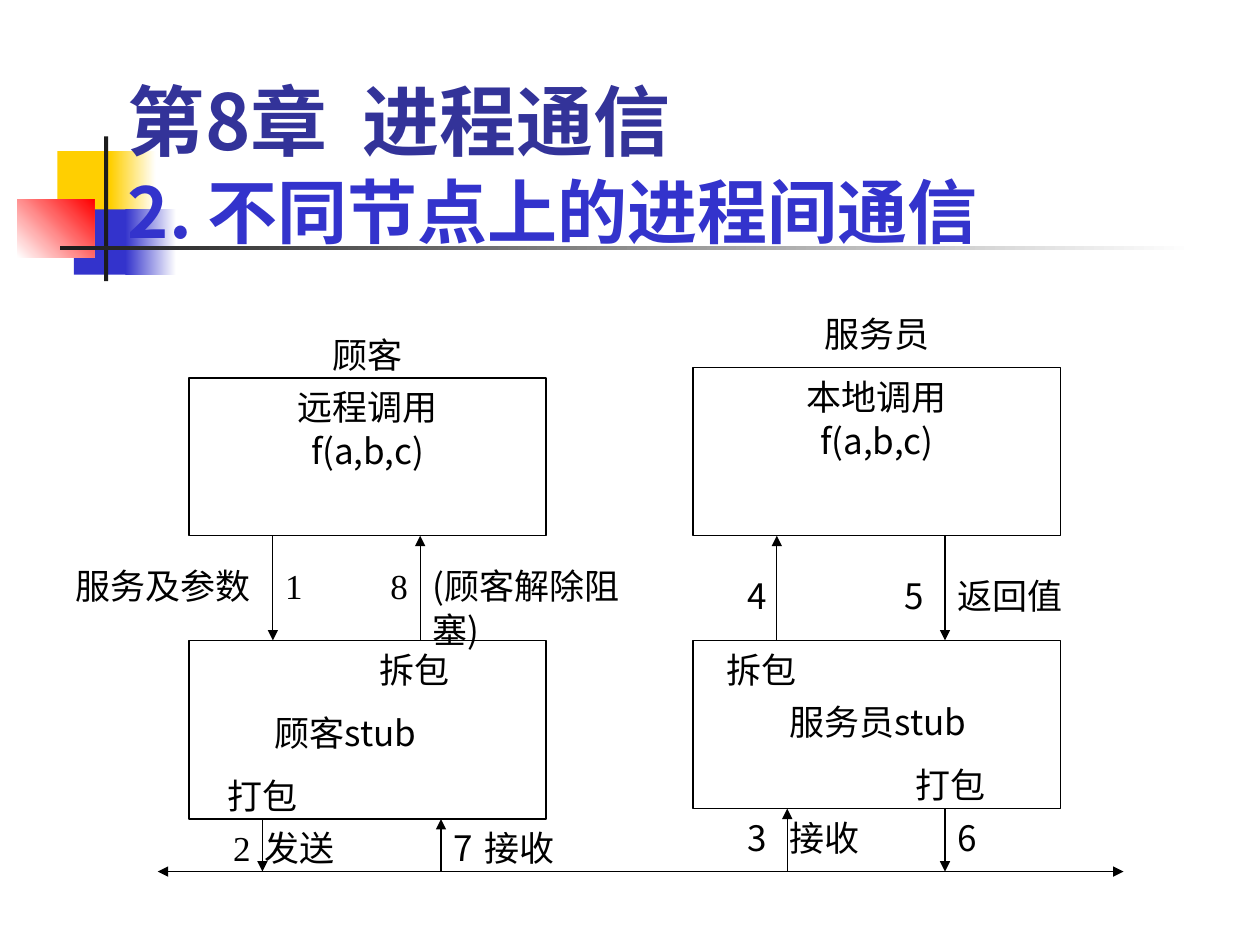
import pptx
import pptx.util
import pptx.dml.color
import pptx.enum.shapes
import pptx.enum.text
import pptx.oxml.ns
from lxml import etree

Cm, Pt = pptx.util.Cm, pptx.util.Pt
qn = pptx.oxml.ns.qn
LEFT = pptx.enum.text.PP_ALIGN.LEFT
CENTER = pptx.enum.text.PP_ALIGN.CENTER

COLORS = {
    "black": "000000", "white": "FFFFFF", "ink": "1C1C1C", "yellow": "FFCF01",
    "blue": "3333CC", "navy": "333399", "red": "FF0000",
}
SERIF, SANS, SANS_JP = "Times New Roman", "Noto Sans CJK SC", "Noto Sans CJK JP"
LINE_PITCH = 1.25  # line height per point of text size


def rgb(name):
    return pptx.dml.color.RGBColor.from_string(COLORS[name])


def write(frame, lines, align=LEFT):
    """Fill a frame with lines of (text, font, size, color, bold)."""
    frame.word_wrap = True
    frame.vertical_anchor = pptx.enum.text.MSO_ANCHOR.TOP
    for i, (text, face, size, color, bold) in enumerate(lines):
        line = frame.add_paragraph() if i else frame.paragraphs[0]
        line.text = text
        line.alignment = align
        line.line_spacing = Pt(size * LINE_PITCH)
        line.font.name, line.font.size, line.font.bold = face, Pt(size), bold
        line.font.color.rgb = rgb(color)
        defaults = line._p.pPr.find(qn("a:defRPr"))
        etree.SubElement(defaults, qn("a:ea"), typeface=SANS)


def add_label(slide, x, y, width, text, face=SERIF, align=LEFT, height=1.2):
    label = slide.shapes.add_textbox(Cm(x), Cm(y), Cm(width), Cm(height))
    write(label.text_frame, [(text, face, 20, "black", False)], align)


def add_block(slide, x, y, width, height, start, end=None, angle=0):
    """Borderless rectangle, plain or fading from start to end."""
    block = slide.shapes.add_shape(
        pptx.enum.shapes.MSO_SHAPE.RECTANGLE, Cm(x), Cm(y), Cm(width), Cm(height))
    block.shadow.inherit = False
    block.line.fill.background()
    if end:
        block.fill.gradient()
        block.fill.gradient_angle = angle
        for stop, color in zip(block.fill.gradient_stops, (start, end)):
            stop.color.rgb = rgb(color)
    else:
        block.fill.solid()
        block.fill.fore_color.rgb = rgb(start)
    return block


def add_frame(slide, x, y, width, height, lines=()):
    frame = add_block(slide, x, y, width, height, "white")
    frame.line.color.rgb = rgb("black")
    frame.line.width = Pt(0.75)
    write(frame.text_frame,
          [(text, SANS_JP, 20, "black", False) for text in lines], CENTER)


def add_arrow(slide, x1, y1, x2, y2, both=False):
    arrow = slide.shapes.add_connector(
        pptx.enum.shapes.MSO_CONNECTOR.STRAIGHT, Cm(x1), Cm(y1), Cm(x2), Cm(y2))
    arrow.line.color.rgb = rgb("black")
    arrow.line.width = Pt(0.75)
    outline = arrow.line._get_or_add_ln()
    for end in ("a:headEnd", "a:tailEnd") if both else ("a:tailEnd",):
        etree.SubElement(outline, qn(end), type="triangle")
    etree.SubElement(arrow._element.spPr, qn("a:effectLst"))


def draw_ornament(slide, x, y):
    """Coloured squares with the crossing rules."""
    add_block(slide, x + 0.81, y + 0.3, 1.22, 1.32, "yellow")
    add_block(slide, x + 1.88, y + 0.3, 0.91, 1.32, "yellow", "white")
    add_block(slide, x + 1.14, y + 1.47, 1.17, 1.32, "blue")
    add_block(slide, x + 2.18, y + 1.47, 1.02, 1.32, "blue", "white")
    add_block(slide, x, y + 1.27, 1.55, 1.17, "white", "red", 45)
    add_block(slide, x + 1.75, y, 0.08, 2.92, "ink")
    add_block(slide, x + 0.86, y + 2.21, 22.86, 0.08, "ink", "white")


def draw_title(slide, x, y, width, height):
    title = slide.shapes.add_textbox(Cm(x), Cm(y), Cm(width), Cm(height))
    write(title.text_frame, [
        ("第8章  进程通信", SANS, 44, "navy", True),
        ("2. 不同节点上的进程间通信", SANS_JP, 40, "blue", True),
    ])


def draw_party(slide, x, y, width, party):
    """Caller or callee: call box above, stub box below, arrows and labels."""
    call_height, stub_top, stub_height = party["heights"]
    stub_bottom = stub_top + stub_height
    name, name_x, name_y, name_width = party["name"]
    add_label(slide, x + name_x, y + name_y, name_width, name, align=CENTER)
    add_frame(slide, x, y, width, call_height, party["call"])
    add_frame(slide, x, y + stub_top, width, stub_height)

    # Arrows between call and stub, then between stub and network
    gaps = {"call": (call_height, stub_top), "network": (stub_bottom, BUS_Y - y)}
    for gap, arrow_x, downward in party["arrows"]:
        start, end = gaps[gap] if downward else gaps[gap][::-1]
        add_arrow(slide, x + arrow_x, y + start, x + arrow_x, y + end)

    for label_x, label_y, label_width, text, face in party["labels"]:
        add_label(slide, x + label_x, y + label_y, label_width, text, face)


BUS_Y = 17.57
CUSTOMER = {
    "name": ("顾客", 0.85, -1.06, 5.5),
    "call": ("远程调用", "f(a,b,c)"),
    "heights": (3.18, 5.29, 3.6),
    "arrows": [("call", 1.69, True), ("call", 4.66, False),
               ("network", 1.48, True), ("network", 5.08, False)],
    "labels": [
        (1.48, 6.56, 4.45, "顾客stub", SANS_JP),
        (1.69, 3.6, 1.7, "1", SERIF),
        (-2.54, 3.6, 4.42, "服务及参数", SERIF),
        (3.81, 3.6, 1.06, "8", SERIF),
        (3.6, 5.29, 2.33, "拆包", SERIF),
        (4.66, 3.6, 5.08, "(顾客解除阻塞)", SANS_JP),
        (0.64, 8.89, 1.7, "2", SERIF),
        (0.53, 7.83, 2.2, "打包", SERIF),
        (1.27, 8.89, 2.54, "发送", SANS),
        (5.08, 8.89, 2.33, "7", SANS),
        (5.71, 8.89, 2.33, "接收", SANS),
    ],
}
SERVER = {
    "name": ("服务员", 1.06, -1.27, 5.29),
    "call": ("本地调用", "f(a,b,c)"),
    "heights": (3.39, 5.5, 3.39),
    "arrows": [("call", 1.69, False), ("call", 5.08, True),
               ("network", 1.9, False), ("network", 5.08, True)],
    "labels": [
        (1.69, 6.56, 4.45, "服务员stub", SANS_JP),
        (0.85, 4.02, 1.06, "4", SANS),
        (0.42, 5.5, 2.12, "拆包", SERIF),
        (5.08, 8.89, 1.9, "6", SANS),
        (4.23, 7.83, 2.75, "打包", SERIF),
        (4.02, 4.02, 0.95, "5", SANS),
        (5.08, 4.02, 2.96, "返回值", SERIF),
        (0.85, 8.89, 1.48, "3", SANS),
        (1.69, 8.89, 2.54, "接收", SANS),
    ],
}


def main():
    deck = pptx.Presentation()
    deck.slide_width, deck.slide_height = Cm(25.4), Cm(19.05)
    slide = deck.slides.add_slide(deck.slide_layouts[6])
    draw_ornament(slide, 0.35, 2.75)
    draw_title(slide, 2.33, 1.27, 22.22, 3.81)
    draw_party(slide, 3.81, 7.62, 7.2, CUSTOMER)
    draw_party(slide, 13.97, 7.41, 7.41, SERVER)
    # Network line shared by both parties
    add_arrow(slide, 3.18, BUS_Y, 22.65, BUS_Y, both=True)
    deck.save("out.pptx")


if __name__ == "__main__":
    main()
